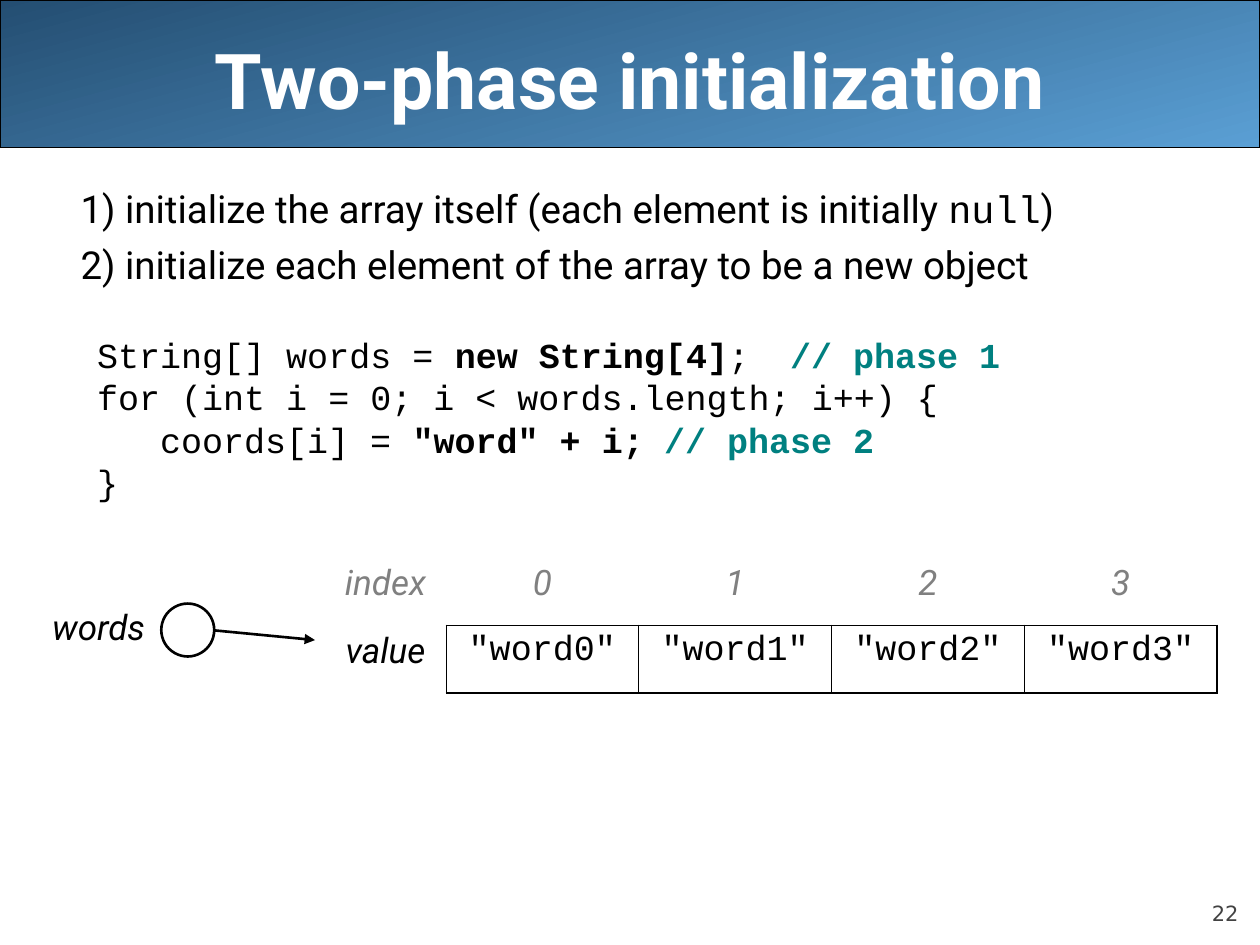
"""Build the slide on two-phase initialization of an array of objects."""
import pptx
import pptx.dml.color
import pptx.enum.shapes
import pptx.enum.text
import pptx.oxml
import pptx.oxml.ns
import pptx.util

Inches = pptx.util.Inches
Pt = pptx.util.Pt
RGBColor = pptx.dml.color.RGBColor
Align = pptx.enum.text.PP_ALIGN
Anchor = pptx.enum.text.MSO_ANCHOR
Shape = pptx.enum.shapes.MSO_SHAPE

BLACK = RGBColor(0x00, 0x00, 0x00)
WHITE = RGBColor(0xFF, 0xFF, 0xFF)
GRAY = RGBColor(0x80, 0x80, 0x80)
DARK_GRAY = RGBColor(0x42, 0x42, 0x42)
TEAL = RGBColor(0x00, 0x80, 0x80)
NAVY = RGBColor(0x24, 0x4E, 0x72)
SKY = RGBColor(0x5A, 0x9F, 0xD4)
SANS, MONO = "Roboto", "Courier New"

TITLE = "Two-phase initialization"
STEPS = [
    [("1) initialize the array itself (each element is initially ", SANS), ("null", MONO), (")", SANS)],
    [("2) initialize each element of the array to be a new object", SANS)],
]
BOLD = {"bold": True}
COMMENT = {"bold": True, "color": TEAL}
CODE = [
    [("\tString[] words = ", {}), ("new String[4]", BOLD), (";\t", {}), ("// phase 1", COMMENT)],
    [("\tfor (int i = 0; i < words.length; i++) {", {})],
    [("\t\tcoords[i] = ", {}), ('"word" + i;\t', BOLD), ("// phase 2", COMMENT)],
    [("\t}", {})],
]
CODE_TABS = [0.68, 1.35, 7.7]
ARRAY = [
    ["index", "0", "1", "2", "3"],
    ["value", '"word0"', '"word1"', '"word2"', '"word3"'],
]
LABEL_WIDTH, VALUE_WIDTH, ROW_HEIGHT = 0.96, 1.53, 0.54
THIN, THICK = 0.45, 1.08


def add_text(paragraph, text, font=SANS, size=20, color=BLACK, bold=False, italic=False):
    run = paragraph.add_run()
    run.text = text
    run.font.name = font
    run.font.size = Pt(size)
    run.font.color.rgb = color
    run.font.bold = bold
    run.font.italic = italic


def add_xml(parent, xml, position):
    namespace = pptx.oxml.ns.nsdecls("a")
    parent.insert(position, pptx.oxml.parse_xml(xml.replace("/>", f" {namespace}/>", 1)
                  if xml.endswith("/>") and xml.count("<") == 1
                  else xml.replace(">", f" {namespace}>", 1)))


def place(shape, left, top, width, height):
    shape.left, shape.top = Inches(left), Inches(top)
    shape.width, shape.height = Inches(width), Inches(height)


def add_label(shapes, box, text, anchor=Anchor.TOP, margin=None, **text_format):
    label = shapes.add_textbox(*map(Inches, box))
    frame = label.text_frame
    frame.word_wrap = True
    frame.vertical_anchor = anchor
    if margin is not None:
        frame.margin_left = frame.margin_right = margin
        frame.margin_top = frame.margin_bottom = margin
    paragraph = frame.paragraphs[0]
    paragraph.alignment = Align.RIGHT
    paragraph.space_before = Pt(5)
    add_text(paragraph, text, **text_format)


def add_banner(slide):
    banner = slide.shapes.add_shape(Shape.ROUNDED_RECTANGLE, 0, 0, Inches(10), Inches(1.17))
    banner.adjustments[0] = 0
    banner.shadow.inherit = False
    banner.fill.gradient()
    banner.fill.gradient_angle = 285
    for stop, color, position in zip(banner.fill.gradient_stops, (NAVY, SKY), (0, 1)):
        stop.color.rgb = color
        stop.position = position
    banner.line.color.rgb = BLACK
    banner.line.width = Pt(0.75)
    slide.shapes.element.insert(2, banner.element)


def add_title(slide):
    title = slide.shapes.title
    place(title, 0.5, 0, 9, 1.25)
    title.text_frame.auto_size = pptx.enum.text.MSO_AUTO_SIZE.NONE
    title.text_frame.vertical_anchor = Anchor.MIDDLE
    paragraph = title.text_frame.paragraphs[0]
    paragraph.alignment = Align.CENTER
    add_text(paragraph, TITLE, size=44, color=WHITE, bold=True)


def add_body(slide):
    body = slide.placeholders[1]
    place(body, 0.17, 1.42, 9.83, 5.67)
    frame = body.text_frame
    frame.auto_size = pptx.enum.text.MSO_AUTO_SIZE.NONE
    for number, line in enumerate(STEPS + CODE):
        paragraph = frame.add_paragraph() if number else frame.paragraphs[0]
        paragraph.level = 1
        properties = paragraph._p.get_or_add_pPr()
        is_step = number < len(STEPS)
        properties.set("marL", str(Inches(0.68 if is_step else 0)))
        properties.set("indent", str(Inches(-0.31 if is_step else 0)))
        add_xml(properties, "<a:buNone/>", len(properties))
        if is_step:
            paragraph.space_before = Pt(5.5)
            for text, font in line:
                add_text(paragraph, text, font=font, size=22)
            continue
        tabs = "".join(f'<a:tab pos="{Inches(tab)}" algn="l"/>' for tab in CODE_TABS)
        add_xml(properties, f"<a:tabLst>{tabs}</a:tabLst>", len(properties))
        paragraph.line_spacing = 0.8
        paragraph.space_before = Pt(31 if number == len(STEPS) else 5)
        for text, text_format in line:
            add_text(paragraph, text, font=MONO, **text_format)


def set_borders(cell, widths):
    properties = cell._tc.get_or_add_tcPr()
    for position, side in enumerate("LRTB"):
        if side in widths:
            line = (f'<a:ln{side} w="{Pt(widths[side])}"><a:solidFill>'
                    f'<a:srgbClr val="{BLACK}"/></a:solidFill></a:ln{side}>')
        else:
            line = f'<a:ln{side} w="0"><a:noFill/></a:ln{side}>'
        add_xml(properties, line, position)


def add_array(slide):
    columns = len(ARRAY[0])
    width = LABEL_WIDTH + VALUE_WIDTH * (columns - 1)
    box = (2.58, 4.42, width, ROW_HEIGHT * len(ARRAY))
    table = slide.shapes.add_table(len(ARRAY), columns, *map(Inches, box)).table
    table.first_row = table.horz_banding = False
    for column_number, column in enumerate(table.columns):
        column.width = Inches(VALUE_WIDTH if column_number else LABEL_WIDTH)
    for row_number, texts in enumerate(ARRAY):
        table.rows[row_number].height = Inches(ROW_HEIGHT)
        for column_number, text in enumerate(texts):
            cell = table.cell(row_number, column_number)
            cell.fill.background()
            is_value = row_number == 1 and column_number > 0
            if is_value:
                right = THICK if column_number == columns - 1 else THIN
                set_borders(cell, {"L": THIN, "R": right, "T": THIN, "B": THICK})
            elif row_number == 1:
                set_borders(cell, {"R": THIN})
            else:
                set_borders(cell, {"B": THIN} if column_number else {})
            paragraph = cell.text_frame.paragraphs[0]
            paragraph.alignment = Align.CENTER
            paragraph.space_before = Pt(5)
            add_text(paragraph, text, font=MONO if is_value else SANS,
                     color=BLACK if row_number else GRAY, italic=not is_value)


def add_reference(slide):
    shapes = slide.shapes.add_group_shape().shapes
    add_label(shapes, (0, 4.76, 1.25, 0.49), "words", italic=True)
    arrow = shapes.add_connector(pptx.enum.shapes.MSO_CONNECTOR.STRAIGHT,
                                 *map(Inches, (1.67, 5, 2.5, 5.08)))
    circle = shapes.add_shape(Shape.OVAL, *map(Inches, (1.28, 4.79, 0.42, 0.42)))
    circle.shadow.inherit = False
    circle.fill.solid()
    circle.fill.fore_color.rgb = WHITE
    for shape in (arrow, circle):
        shape.line.color.rgb = BLACK
        shape.line.width = Pt(1.5)
    line = arrow.line._get_or_add_ln()
    add_xml(line, '<a:tailEnd type="triangle"/>', len(line))
    properties = arrow.element.spPr
    add_xml(properties, "<a:effectLst/>", len(properties))


def main():
    presentation = pptx.Presentation()
    presentation.slide_width, presentation.slide_height = Inches(10), Inches(7.5)
    slide = presentation.slides.add_slide(presentation.slide_layouts[1])
    add_banner(slide)
    add_label(slide.shapes, (9, 6.95, 0.83, 0.4), "22", anchor=Anchor.BOTTOM, margin=0,
              font="DejaVu Sans", size=12, color=DARK_GRAY)
    add_title(slide)
    add_body(slide)
    add_array(slide)
    add_reference(slide)
    presentation.save("out.pptx")


if __name__ == "__main__":
    main()
